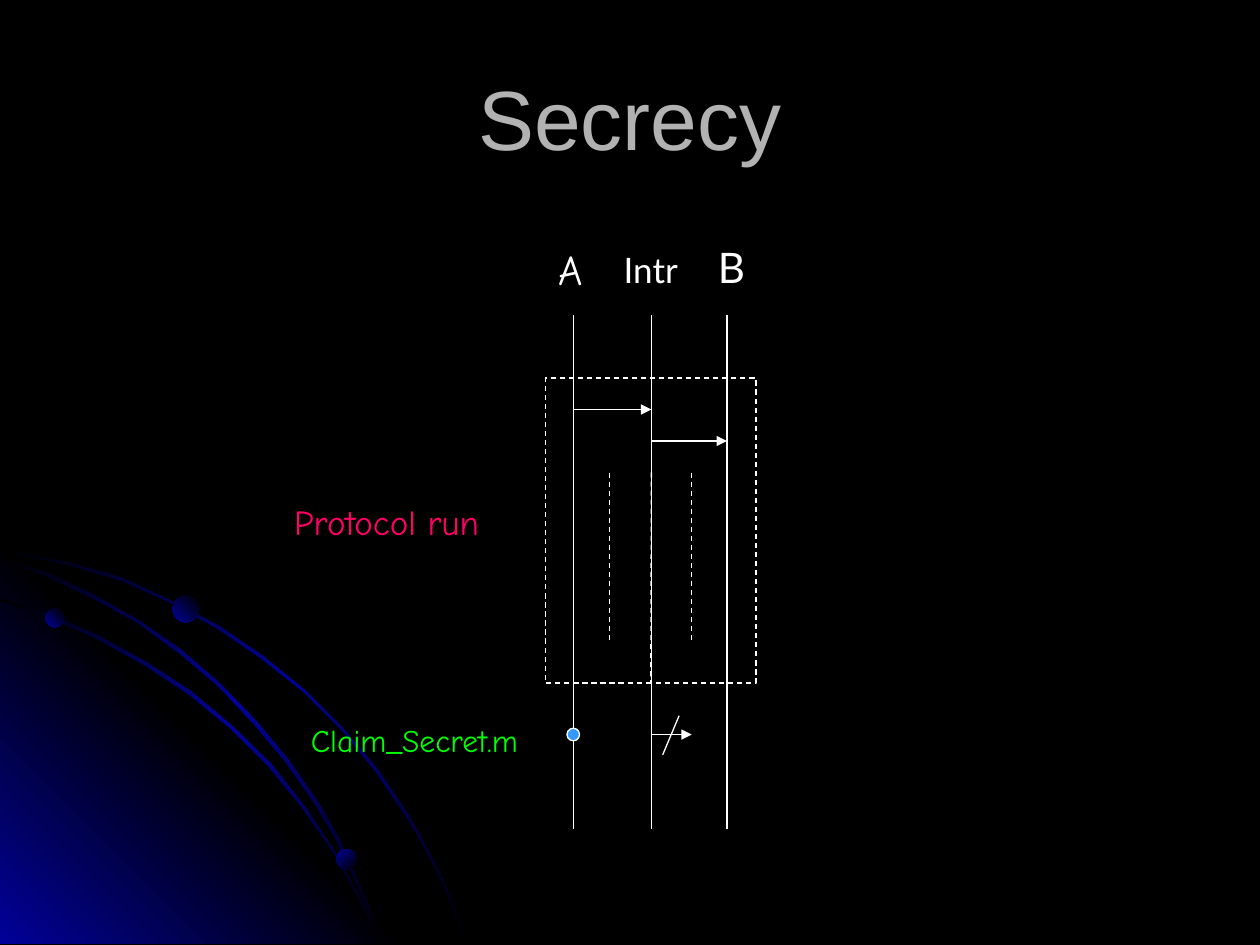
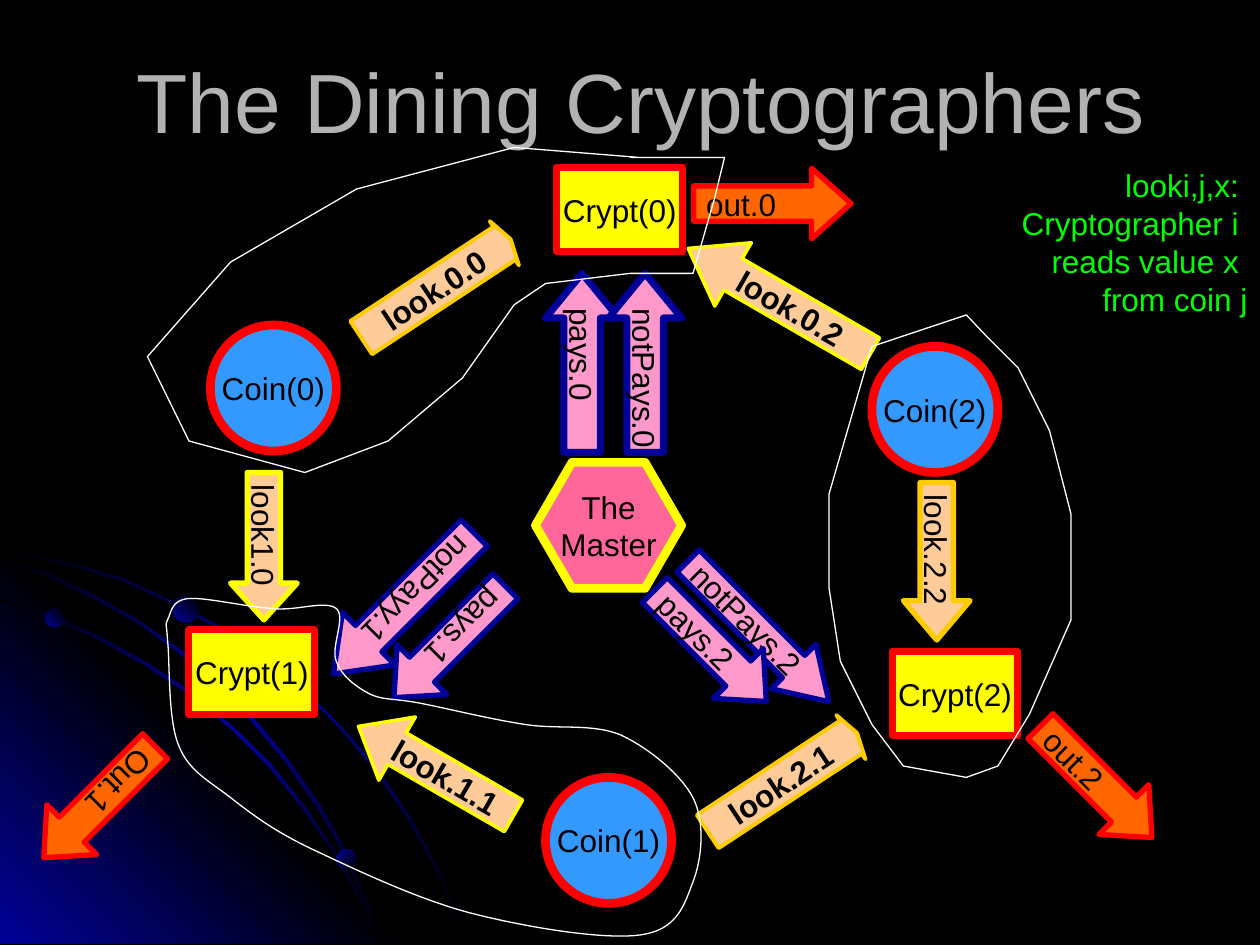
from lxml import etree
from pptx import Presentation
from pptx.dml.color import RGBColor
from pptx.enum.dml import MSO_LINE
from pptx.enum.shapes import MSO_CONNECTOR, MSO_SHAPE
from pptx.enum.text import MSO_ANCHOR, PP_ALIGN
from pptx.oxml import parse_xml
from pptx.oxml.ns import nsdecls, qn
from pptx.util import Cm, Pt

BLACK = RGBColor(0x00, 0x00, 0x00)
WHITE = RGBColor(0xFF, 0xFF, 0xFF)
GREY = RGBColor(0xB2, 0xB2, 0xB2)
NAVY = RGBColor(0x01, 0x01, 0x99)
BLUE = RGBColor(0x33, 0x99, 0xFF)
GREEN = RGBColor(0x00, 0xFF, 0x00)
CRIMSON = RGBColor(0xFF, 0x00, 0x66)
RED = RGBColor(0xFF, 0x00, 0x00)
YELLOW = RGBColor(0xFF, 0xFF, 0x00)
GOLD = RGBColor(0xFF, 0xCC, 0x00)
PEACH = RGBColor(0xFF, 0xCC, 0x99)
PINK = RGBColor(0xFF, 0x99, 0xCC)
ROSE = RGBColor(0xFF, 0x66, 0x99)
ORANGE = RGBColor(0xFF, 0x66, 0x00)

RECT, OVAL, HEXAGON = MSO_SHAPE.RECTANGLE, MSO_SHAPE.OVAL, MSO_SHAPE.HEXAGON
UP, DOWN = MSO_SHAPE.UP_ARROW, MSO_SHAPE.DOWN_ARROW
LEFT, RIGHT = MSO_SHAPE.LEFT_ARROW, MSO_SHAPE.RIGHT_ARROW
STRAIGHT, DASH = MSO_CONNECTOR.STRAIGHT, MSO_LINE.DASH
MIDDLE, TOP = MSO_ANCHOR.MIDDLE, MSO_ANCHOR.TOP
CENTER, ALIGN_RIGHT = PP_ALIGN.CENTER, PP_ALIGN.RIGHT

GRID = 2.54
POINT_SCALE = Cm(GRID) / 100
SANS, HAND, HUMANIST = "Arial", "Comic Neue", "Lato"

STRANDS = [
    [(57, 447), (28, 441), (0, 435), (0, 438), (28, 443), (56, 449), (97, 461),
     (135, 478), (173, 499), (208, 523), (241, 549), (271, 579), (298, 612),
     (323, 649), (337, 673), (350, 698), (360, 723), (370, 749), (372, 749),
     (362, 723), (352, 698), (339, 673), (325, 648), (300, 611), (272, 578),
     (242, 548), (209, 521), (174, 497), (136, 477), (98, 459)],
    [(285, 714), (294, 732), (301, 749), (303, 749), (296, 730), (286, 712),
     (266, 676), (242, 640), (215, 606), (184, 576), (152, 549), (117, 526),
     (79, 505), (41, 488), (0, 475), (0, 477), (39, 490), (77, 507), (115, 528),
     (150, 551), (183, 578), (213, 608), (240, 641), (265, 677)],
    [(0, 442), (0, 444), (36, 457), (74, 475), (109, 494), (142, 518), (173, 544),
     (202, 575), (227, 605), (252, 641), (267, 667), (280, 694), (292, 722),
     (301, 749), (303, 749), (294, 720), (282, 693), (269, 665), (254, 639),
     (229, 603), (204, 573), (175, 543), (144, 516), (111, 493), (76, 473),
     (39, 455)],
]
GLOW = [(322, 749), (0, 749), (0, 427)]
BEADS = [(0.36, 4.83, 0.15, 315), (2.67, 6.74, 0.16, 45), (1.37, 4.73, 0.21, 315)]

NODES = [
    ("Coin(1)", OVAL, 4.33, 6.17), ("Crypt(1)", RECT, 1.5, 5),
    ("Crypt(0)", RECT, 4.42, 1.33), ("Crypt(2)", RECT, 7.08, 5.17),
    ("Coin(2)", OVAL, 6.92, 2.75), ("Coin(0)", OVAL, 1.67, 2.58),
]
ARROWS = [
    (PEACH, GOLD, 2.25, "look.2.1", RIGHT, (5.5, 6, 1.42, 0.42), 326.6, 0.14),
    (PEACH, YELLOW, 2, "look.1.1", LEFT, (2.75, 5.83, 1.42, 0.58), 30, 0.61),
    (PEACH, YELLOW, 2, "look.0.2", LEFT, (5.35, 2.1, 1.67, 0.58), 30, 0.71),
    (PEACH, GOLD, 2.25, "look.0.0", RIGHT, (2.75, 2.08, 1.42, 0.42), 326.6, 0.14),
    (PEACH, YELLOW, 3, "look1.0", DOWN, (1.83, 3.75, 0.53, 1.17), 0, 0.55),
    (PEACH, GOLD, 3, "look.2.2", DOWN, (7.17, 3.83, 0.53, 1.25), 0, 0.59),
    (PINK, NAVY, 4, "pays.0", UP, (4.33, 2.17, 0.58, 1.42), 0, 0.61),
    (PINK, NAVY, 4, "notPays.0", UP, (4.83, 2.17, 0.58, 1.42), 0, 0.61),
    (PINK, NAVY, 3, "pays.1", DOWN, (3.29, 4.47, 0.56, 1.25), 45, 0.56),
    (PINK, NAVY, 3, "notPayy.1", DOWN, (2.91, 4, 0.59, 1.58), 45, 0.67),
    (PINK, NAVY, 3, "notPays.2", DOWN, (5.77, 4.22, 0.5, 1.58), 315, 0.79),
    (PINK, NAVY, 3, "pays.2", DOWN, (5.36, 4.5, 0.56, 1.25), 315, 0.56),
    (ORANGE, RED, 3, "out.2", DOWN, (8.42, 5.58, 0.56, 1.25), 315, 0.56),
    (ORANGE, RED, 3, "Out.1", DOWN, (0.51, 5.74, 0.56, 1.25), 45, 0.56),
    (ORANGE, RED, 3, "out.0", DOWN, (5.85, 0.99, 0.56, 1.25), 270, 0.56),
]
GROUP_0 = [(508, 125), (408, 117), (283, 150), (183, 208), (117, 283), (150, 350),
           (242, 375), (308, 350), (367, 300), (408, 242), (433, 225), (500, 217),
           (550, 217), (567, 158), (575, 125), (500, 125)]
GROUP_1 = [(133, 508),
           (135, 525), (133, 571), (142, 592), (150, 612), (165, 619), (183, 633),
           (201, 647), (218, 660), (250, 675), (282, 690), (332, 714), (375, 725),
           (418, 736), (479, 746), (508, 742), (538, 738), (543, 718), (550, 700),
           (557, 682), (560, 653), (550, 633), (540, 614), (514, 593), (492, 583),
           (469, 574), (443, 579), (417, 575), (390, 571), (354, 562), (333, 558),
           (312, 554), (303, 556), (292, 550), (281, 544), (271, 536), (267, 525),
           (262, 514), (275, 490), (267, 483), (258, 476), (236, 485), (217, 483),
           (197, 482), (164, 474), (150, 475), (136, 476), (136, 486), (133, 492),
           (131, 497), (132, 492), (133, 508)]
GROUP_2 = [(767, 250), (692, 275), (658, 392), (658, 467), (667, 525), (692, 575),
           (717, 608), (767, 617), (792, 608), (817, 567), (850, 492), (850, 408),
           (833, 342), (808, 292), (783, 267)]


def grid(*values):
    """Turn grid steps into lengths."""
    return [Cm(GRID * v) for v in values]


def write(tf, lines, size, font, color, align=CENTER, anchor=TOP, wrap=False, bold=False):
    """Fill a text frame with one paragraph per line."""
    tf.word_wrap = wrap
    tf.vertical_anchor = anchor
    for i, line in enumerate(lines):
        p = tf.add_paragraph() if i else tf.paragraphs[0]
        p.alignment = align
        r = p.add_run()
        r.text = line
        r.font.size, r.font.name, r.font.bold = Pt(size), font, bold
        r.font.color.rgb = color


def add_text(s, box, lines, *style, **options):
    """Add a text box."""
    write(s.shapes.add_textbox(*grid(*box)).text_frame, lines, *style, **options)


def paint(sp, fill, line=None, width=0.75):
    """Set fill and outline, without shadow."""
    sp.shadow.inherit = False
    if fill is None:
        sp.fill.background()
    else:
        sp.fill.solid()
        sp.fill.fore_color.rgb = fill
    if line is None:
        sp.line.fill.background()
    else:
        sp.line.color.rgb = line
        sp.line.width = Pt(width)


def paint_gradient(sp, colors, angle):
    """Fill a shape with evenly spaced gradient stops."""
    paint(sp, BLACK)
    step = 100000 // (len(colors) - 1)
    stops = "".join(f'<a:gs pos="{i * step}"><a:srgbClr val="{c}"/></a:gs>'
                    for i, c in enumerate(colors))
    spPr = sp._element.spPr
    spPr.replace(spPr.find(qn("a:solidFill")), parse_xml(
        f'<a:gradFill {nsdecls("a")} rotWithShape="1"><a:gsLst>{stops}</a:gsLst>'
        f'<a:lin ang="{angle * 60000}" scaled="1"/></a:gradFill>'))


def add_shape(s, kind, box, fill, line=None, width=0.75):
    """Add a painted preset shape."""
    sp = s.shapes.add_shape(kind, *grid(*box))
    paint(sp, fill, line, width)
    return sp


def add_outline(s, points, left, top, close=True):
    """Add a freeform through points given in hundredths of a grid step."""
    fb = s.shapes.build_freeform(*points[0], scale=POINT_SCALE)
    fb.add_line_segments(points[1:], close=close)
    sp = fb.convert_to_shape(*grid(left, top))
    paint(sp, None, WHITE)
    return sp


def bend(sp):
    """Turn each three line segments of a freeform into one curve."""
    segments = list(sp._element.iter(qn("a:lnTo")))
    for i in range(0, len(segments), 3):
        curve = etree.Element(qn("a:cubicBezTo"))
        segments[i].addprevious(curve)
        for segment in segments[i:i + 3]:
            curve.append(segment[0])
            segment.getparent().remove(segment)


def add_line(s, start, end, dashed=False, arrow=False):
    """Add a thin white line."""
    c = s.shapes.add_connector(STRAIGHT, *grid(*start, *end))
    c.line.color.rgb = WHITE
    c.line.width = Pt(0.75)
    if dashed:
        c.line.dash_style = DASH
    if arrow:
        etree.SubElement(c.line._get_or_add_ln(), qn("a:tailEnd"), type="triangle")
    etree.SubElement(c._element.spPr, qn("a:effectLst"))
    return c


def corner_orbits(s, left, top):
    """Draw the glowing corner with its strands and beads."""
    for i, points in enumerate([STRANDS[0], GLOW, *STRANDS[1:]]):
        sp = add_outline(s, points, left, top)
        if i == 1:
            paint_gradient(sp, (NAVY, BLACK, NAVY), 315)
        else:
            paint_gradient(sp, (BLACK, NAVY, BLACK), 45)
    for x, y, size, angle in BEADS:
        sp = add_shape(s, OVAL, (left + x, top + y, size, size), BLACK)
        paint_gradient(sp, (NAVY, BLACK), angle)


def new_slide(prs, title, box):
    """Add a slide with the corner decoration and a title."""
    s = prs.slides.add_slide(prs.slide_layouts[6])
    corner_orbits(s, 0, 0)
    add_text(s, box, [title], 48, SANS, GREY, anchor=MIDDLE, wrap=True)
    return s


def secrecy_run(s, left, top):
    """Draw the message sequence chart of the secrecy claim."""
    def pos(x, y):
        return left + x, top + y

    a, intr, b = 3.05, 3.67, 4.27
    claim = 3.96
    run = add_shape(s, RECT, (*pos(2.83, 1.13), 1.67, 2.42), BLACK, WHITE)
    run.line.dash_style = DASH
    for x in (a, intr, b):
        add_line(s, pos(x, 0.63), pos(x, 4.71))
    for x in (3.34, 3.99):
        add_line(s, pos(x, 1.88), pos(x, 3.21), dashed=True)
    add_line(s, pos(intr, 1.88), pos(intr, 3.55), dashed=True).end_connect(run, 2)
    for x1, x2, y in ((a, intr, 1.38), (intr, b, 1.63), (intr, 3.99, claim)):
        add_line(s, pos(x1, y), pos(x2, y), arrow=True)
    add_line(s, pos(3.89, 3.81), pos(3.76, 4.12))
    add_shape(s, OVAL, (*pos(a - 0.05, claim - 0.05), 0.1, 0.1), BLUE, WHITE)
    add_text(s, (*pos(2.81, 0.01), 0.44, 0.5), ["A"], 24, HAND, WHITE)
    add_text(s, (*pos(4.1, 0), 0.4, 0.5), ["B"], 24, HUMANIST, WHITE)
    add_text(s, (*pos(3.34, 0.05), 0.65, 0.43), ["Intr"], 20, HUMANIST, WHITE)
    add_text(s, (*pos(0, 2.05), 2.4, 0.43), ["Protocol run"], 20, HAND, CRIMSON,
             align=ALIGN_RIGHT, wrap=True)
    add_text(s, (*pos(0.67, 3.8), 2.04, 0.4), ["Claim_Secret.m"], 18, HAND, GREEN,
             align=ALIGN_RIGHT)


def channel(s, left, top, fill, line, width, name, kind, box, turn, head):
    """Draw one labelled channel arrow."""
    x, y, w, h = box
    sp = add_shape(s, kind, (left + x, top + y, w, h), fill, line, width)
    sp.rotation = turn
    sp.adjustments[0] = 0.75 if kind == RIGHT else 0.5
    sp.adjustments[1] = head
    upright = kind in (UP, DOWN)
    write(sp.text_frame, [name], 18, SANS, BLACK, anchor=MIDDLE, bold=not upright)
    bodyPr = sp.text_frame._txBody.bodyPr
    if upright:
        bodyPr.set("vert", "eaVert")
    if kind == RIGHT:
        sp._element.spPr.xfrm.set("flipV", "1")
        bodyPr.set("rot", "10800000")


def cryptographers(s, left, top):
    """Draw coins, cryptographers, the master and their channels."""
    for name, kind, x, y in NODES:
        fill, width, h = (BLUE, 5, 1) if kind == OVAL else (YELLOW, 4, 0.67)
        sp = add_shape(s, kind, (left + x, top + y, 1, h), fill, RED, width)
        write(sp.text_frame, [name], 18, SANS, BLACK, anchor=MIDDLE)
    master = add_shape(s, HEXAGON, (left + 4.25, top + 3.67, 1.16, 1), ROSE, YELLOW, 5)
    master.adjustments[0] = 0.29
    write(master.text_frame, ["The", "Master"], 18, SANS, BLACK, anchor=MIDDLE)
    for arrow in ARROWS:
        channel(s, left, top, *arrow)
    add_text(s, (left + 7.92, top + 1.17, 2.08, 1.5),
             ["looki,j,x: ", "Cryptographer i ", "reads value x ", "from coin j"],
             18, SANS, GREEN, align=ALIGN_RIGHT, anchor=MIDDLE)
    add_outline(s, GROUP_0, left, top, close=False)
    bend(add_outline(s, GROUP_1, left, top))
    add_outline(s, GROUP_2, left, top)


def main():
    """Build and save the slides."""
    prs = Presentation()
    prs.slide_width, prs.slide_height = grid(10, 7.5)
    fill = prs.slide_master.background.fill
    fill.solid()
    fill.fore_color.rgb = BLACK
    secrecy_run(new_slide(prs, "Secrecy", (0.75, 0.08, 8.5, 1.7)), 1.5, 1.87)
    cryptographers(new_slide(prs, "The Dining Cryptographers", (0.42, 0.17, 9.33, 1.25)), 0, 0)
    prs.save("out.pptx")


if __name__ == "__main__":
    main()
